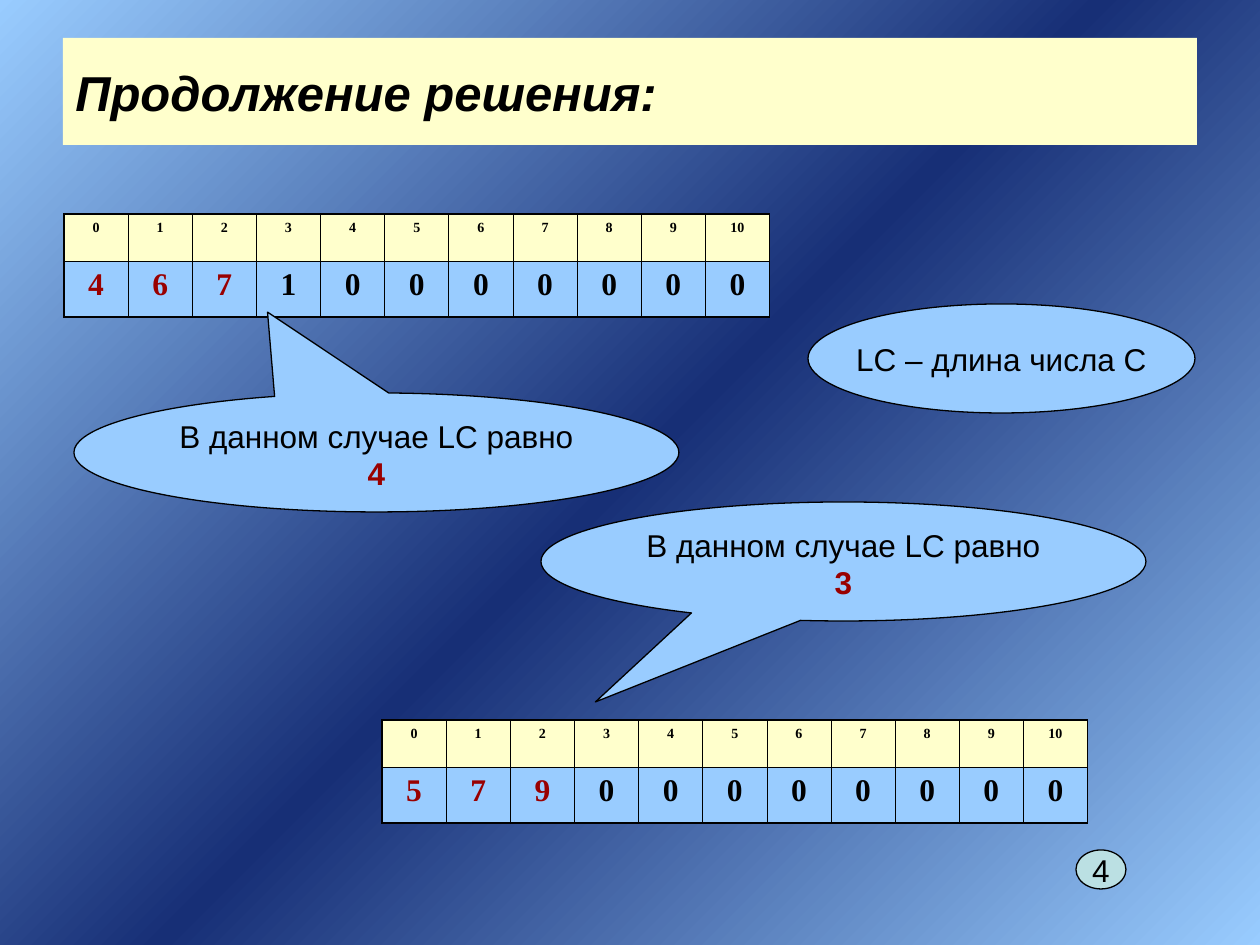
from copy import deepcopy
from dataclasses import dataclass
from typing import Any

from lxml import etree
from pptx import Presentation
from pptx import util as u
from pptx.dml import color
from pptx.enum import shapes, text
from pptx.oxml import ns

EMU_PER_PX = 914400 / 126


@dataclass(frozen=True)
class Theme:
    black: str = "000000"
    red: str = "990000"
    cream: str = "FFFFCC"
    sky: str = "99CCFF"
    navy: str = "172F76"
    mint: str = "BBE0E3"
    sans: str = "Arial"
    serif: str = "Times New Roman"
    title_pt: float = 28
    body_pt: float = 18
    index_pt: float = 8
    outline_pt: float = 0.75
    frame_pt: float = 1.08
    grid_pt: float = 0.45


@dataclass(frozen=True)
class Box:
    x: int
    y: int
    w: int
    h: int


@dataclass(frozen=True)
class Bubble:
    box: Box
    label: str
    kind: Any = shapes.MSO_SHAPE.OVAL
    fill: str = "99CCFF"
    answer: str = ""
    tail: tuple[float, ...] = ()


@dataclass(frozen=True)
class DigitArray:
    box: Box
    digits: str
    red_count: int = 3


T = Theme()
INDEX_ROW_PX, DIGIT_ROW_PX = 47, 56


def px(n: int) -> u.Emu:
    return u.Emu(round(n * EMU_PER_PX))


def place(box: Box) -> list[u.Emu]:
    return [px(n) for n in (box.x, box.y, box.w, box.h)]


def rgb(value: str) -> color.RGBColor:
    return color.RGBColor.from_string(value)


def set_attrs(obj: Any, values: dict[str, Any]) -> None:
    for name, value in values.items():
        setattr(obj, name, value)


def paint(fill: Any, value: str) -> None:
    fill.solid()
    fill.fore_color.rgb = rgb(value)


def add_run(p: Any, label: str, ink: str = T.black, **fmt: Any) -> None:
    r = p.add_run()
    r.text = label
    set_attrs(r.font, {"name": T.sans, "size": u.Pt(T.body_pt), **fmt})
    r.font.color.rgb = rgb(ink)


def add_background(s: Any) -> None:
    """Diagonal light-dark-light gradient."""
    fill = s.background.fill
    fill.gradient()
    fill.gradient_angle = 135
    first = fill.gradient_stops[0]
    stop_list = s.background._cSld.find(".//" + ns.qn("a:gsLst"))
    stop_list.insert(1, deepcopy(stop_list[0]))
    for stop, position, value in zip(
        fill.gradient_stops, (0, 0.5, 1), (T.sky, T.navy, T.sky)
    ):
        stop.position = position
        stop.color.rgb = rgb(value)


def add_title(s: Any, box: Box, label: str) -> None:
    sp = s.shapes.add_shape(shapes.MSO_SHAPE.RECTANGLE, *place(box))
    sp.shadow.inherit = False
    paint(sp.fill, T.cream)
    sp.line.fill.background()
    tf = sp.text_frame
    set_attrs(tf, {"word_wrap": True, "vertical_anchor": text.MSO_ANCHOR.MIDDLE})
    p = tf.paragraphs[0]
    p.alignment = text.PP_ALIGN.LEFT
    add_run(p, label, size=u.Pt(T.title_pt), bold=True, italic=True)


def add_bubble(s: Any, bubble: Bubble) -> None:
    sp = s.shapes.add_shape(bubble.kind, *place(bubble.box))
    sp.shadow.inherit = False
    for i, value in enumerate(bubble.tail):
        sp.adjustments[i] = value
    paint(sp.fill, bubble.fill)
    paint(sp.line.fill, T.black)
    sp.line.width = u.Pt(T.outline_pt)
    is_callout = bool(bubble.tail)
    anchor = text.MSO_ANCHOR.TOP if is_callout else text.MSO_ANCHOR.MIDDLE
    tf = sp.text_frame
    set_attrs(tf, {"word_wrap": is_callout, "vertical_anchor": anchor})
    p = tf.paragraphs[0]
    p.alignment = text.PP_ALIGN.CENTER
    add_run(p, bubble.label)
    if bubble.answer:
        add_run(p, bubble.answer, T.red, bold=True)


def add_borders(cell: Any, widths: dict[str, float]) -> None:
    props = cell._tc.get_or_add_tcPr()
    for side, width in widths.items():
        ln = etree.SubElement(props, ns.qn(f"a:ln{side}"), w=str(u.Pt(width)))
        solid = etree.SubElement(ln, ns.qn("a:solidFill"))
        etree.SubElement(solid, ns.qn("a:srgbClr"), val=T.black)


def add_digit_array(s: Any, array: DigitArray) -> None:
    """Index row above a digit row, with a heavier outer frame."""
    count = len(array.digits)
    tbl = s.shapes.add_table(2, count, *place(array.box)).table
    set_attrs(tbl, {"first_row": False, "horz_banding": False})
    for column in tbl.columns:
        column.width = u.Emu(px(array.box.w) // count)
    rows = (
        (INDEX_ROW_PX, [str(i) for i in range(count)], T.cream, T.index_pt, 2, 0),
        (DIGIT_ROW_PX, array.digits, T.sky, T.body_pt, 4.5, array.red_count),
    )
    for i, (height, labels, fill, size, before, reds) in enumerate(rows):
        tbl.rows[i].height = px(height)
        for j, label in enumerate(labels):
            cell = tbl.cell(i, j)
            outer = {"L": j == 0, "R": j == count - 1, "T": i == 0, "B": i == 1}
            add_borders(
                cell, {k: T.frame_pt if v else T.grid_pt for k, v in outer.items()}
            )
            paint(cell.fill, fill)
            p = cell.text_frame.paragraphs[0]
            set_attrs(
                p, {"alignment": text.PP_ALIGN.CENTER, "space_before": u.Pt(before)}
            )
            ink = T.red if j < reds else T.black
            add_run(p, label, ink, name=T.serif, size=u.Pt(size), bold=True)


def main() -> None:
    prs = Presentation()
    set_attrs(prs, {"slide_width": px(1260), "slide_height": px(945)})
    s = prs.slides.add_slide(prs.slide_layouts[6])
    add_background(s)
    add_title(s, Box(63, 38, 1134, 107), "Продолжение решения:")

    # Each array is followed by the callout that gives its length
    callout = shapes.MSO_SHAPE.OVAL_CALLOUT
    question = "В данном случае LC равно "
    examples = (
        (
            DigitArray(Box(64, 214, 706, 103), "46710000000"),
            Bubble(Box(74, 393, 605, 119), question, callout, T.sky, "4", (-0.18, -1.18)),
        ),
        (
            DigitArray(Box(382, 720, 706, 103), "57900000000"),
            Bubble(Box(541, 502, 605, 119), question, callout, T.sky, "3", (-0.41, 1.18)),
        ),
    )
    for array, bubble in examples:
        add_digit_array(s, array)
        add_bubble(s, bubble)

    # Slide number and definition
    add_bubble(s, Bubble(Box(1076, 850, 50, 39), "4", fill=T.mint))
    add_bubble(s, Bubble(Box(808, 304, 387, 109), "LC – длина числа С"))
    prs.save("out.pptx")


if __name__ == "__main__":
    main()
